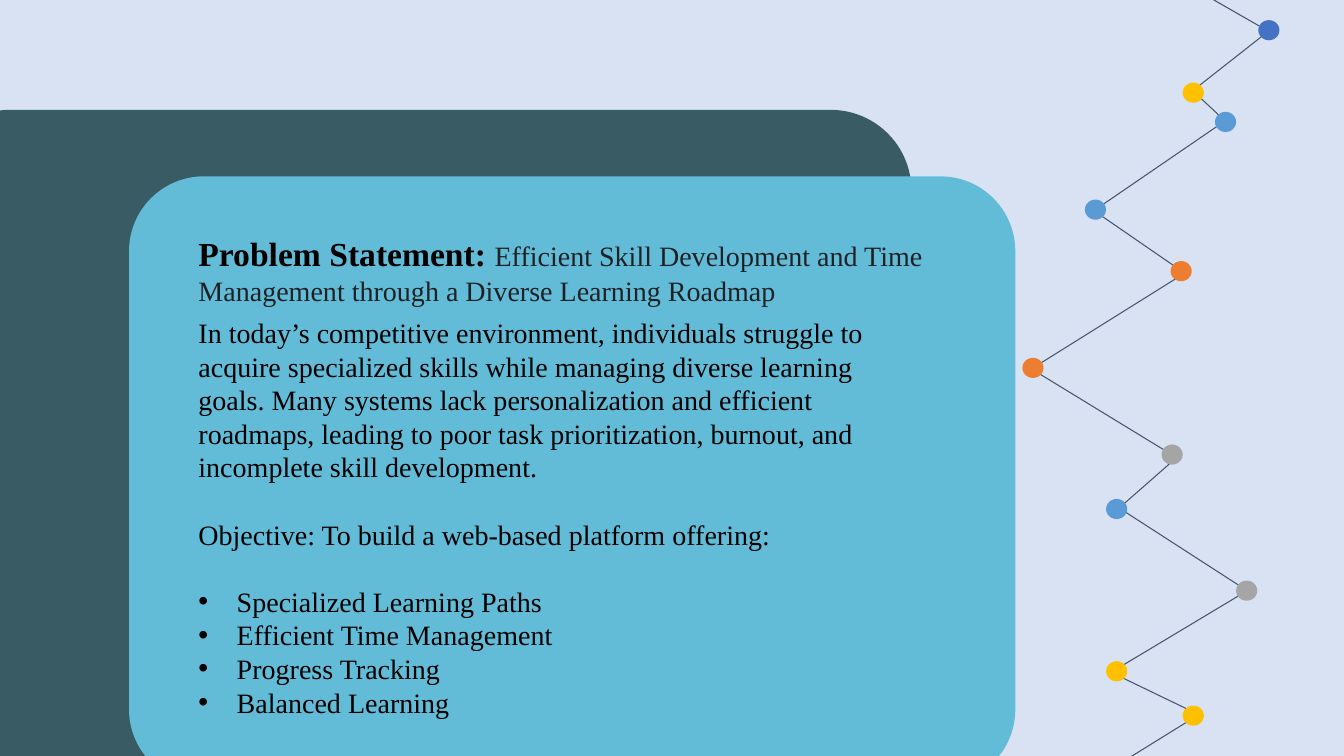
from typing import NamedTuple

import pptx
import pptx.dml.color
import pptx.enum.shapes
import pptx.enum.text
import pptx.oxml
import pptx.oxml.ns
import pptx.util

PX = 9144  # 100 px to the inch
FONT = "Times New Roman"
COLORS = {
    "background": "D8E2F3", "slate": "395B64", "sky": "62BCD8",
    "black": "000000", "ink": "202124", "line": "44546A",
    "navy": "4472C4", "gold": "FFC000", "blue": "5B9BD5",
    "orange": "ED7D31", "gray": "A5A5A5",
}


class Box(NamedTuple):
    left: int
    top: int
    width: int
    height: int

    def emu(self) -> list[int]:
        return [length * PX for length in self]


class Panel(NamedTuple):
    box: Box
    color: str


class Dot(NamedTuple):
    left: int
    top: int
    color: str


PANELS = [
    Panel(Box(-70, 109, 974, 650), "slate"),
    Panel(Box(128, 175, 879, 603), "sky"),
]
PATH = [
    (1143, -35), (1258, 31), (1183, 90), (1215, 120), (1085, 209),
    (1175, 271), (1023, 366), (1167, 454), (1110, 504), (1237, 586),
    (1102, 667), (1189, 709), (1097, 766),
]
DOTS = [
    Dot(1248, 20, "navy"), Dot(1173, 82, "gold"), Dot(1205, 111, "blue"),
    Dot(1076, 198, "blue"), Dot(1161, 259, "orange"), Dot(1014, 355, "orange"),
    Dot(1152, 441, "gray"), Dot(1097, 495, "blue"), Dot(1226, 576, "gray"),
    Dot(1097, 656, "gold"), Dot(1173, 700, "gold"),
]
PROBLEM = (
    "In today’s competitive environment, individuals struggle to acquire "
    "specialized skills while managing diverse learning goals. Many systems "
    "lack personalization and efficient roadmaps, leading to poor task "
    "prioritization, burnout, and incomplete skill development."
)
OBJECTIVE = "Objective: To build a web-based platform offering:"
OFFERINGS = [
    "Specialized Learning Paths", "Efficient Time Management",
    "Progress Tracking", "Balanced Learning",
]


def rgb(name: str) -> pptx.dml.color.RGBColor:
    return pptx.dml.color.RGBColor.from_string(COLORS[name])


def add_filled(slide, kind, box: Box, color: str):
    shape = slide.shapes.add_shape(kind, *box.emu())
    shape.shadow.inherit = False
    shape.fill.solid()
    shape.fill.fore_color.rgb = rgb(color)
    shape.line.fill.background()
    return shape


def add_zigzag(slide) -> None:
    builder = slide.shapes.build_freeform(*PATH[0], scale=PX)
    builder.add_line_segments(PATH[1:], close=False)
    zigzag = builder.convert_to_shape()
    zigzag.shadow.inherit = False
    zigzag.fill.background()
    zigzag.line.color.rgb = rgb("line")
    zigzag.line.width = pptx.util.Pt(0.75)


def add_text_frame(slide, box: Box):
    frame = slide.shapes.add_textbox(*box.emu()).text_frame
    frame.word_wrap = True
    frame.auto_size = pptx.enum.text.MSO_AUTO_SIZE.SHAPE_TO_FIT_TEXT
    return frame


def add_bullet(paragraph) -> None:
    properties = paragraph._p.get_or_add_pPr()
    properties.set("marL", str(38 * PX))
    properties.set("indent", str(-38 * PX))
    namespace = pptx.oxml.ns.nsdecls("a")
    for xml in (
        f'<a:buClr {namespace}><a:srgbClr val="{COLORS["black"]}"/></a:buClr>',
        f'<a:buFont {namespace} typeface="Arial"/>',
        f'<a:buChar {namespace} char="•"/>',
    ):
        properties.append(pptx.oxml.parse_xml(xml))


def add_heading(slide) -> None:
    heading = add_text_frame(slide, Box(187, 226, 796, 125)).paragraphs[0]
    heading.font.name = FONT
    for text, size, color, bold in (
        ("Problem Statement: ", 24, "black", True),
        ("Efficient Skill Development and Time Management through a "
         "Diverse Learning Roadmap", 20, "ink", False),
    ):
        run = heading.add_run()
        run.text = text
        run.font.size = pptx.util.Pt(size)
        run.font.bold = bold
        run.font.color.rgb = rgb(color)


def add_statement(slide) -> None:
    frame = add_text_frame(slide, Box(187, 308, 707, 414))
    for index, text in enumerate([PROBLEM, OBJECTIVE, *OFFERINGS]):
        paragraph = frame.add_paragraph() if index else frame.paragraphs[0]
        paragraph.text = text
        if text in (OBJECTIVE, OFFERINGS[0]):
            paragraph.space_before = pptx.util.Pt(24)
        if text in OFFERINGS:
            add_bullet(paragraph)
        paragraph.font.name = FONT
        paragraph.font.size = pptx.util.Pt(20)
        paragraph.font.color.rgb = rgb("black")


def main() -> None:
    deck = pptx.Presentation()
    deck.slide_width, deck.slide_height = 1333 * PX, 750 * PX
    slide = deck.slides.add_slide(deck.slide_layouts[6])
    slide.background.fill.solid()
    slide.background.fill.fore_color.rgb = rgb("background")

    shapes = pptx.enum.shapes.MSO_SHAPE
    for panel in PANELS:
        rounded = add_filled(slide, shapes.ROUNDED_RECTANGLE, panel.box, panel.color)
        rounded.adjustments[0] = 0.123
    add_heading(slide)
    add_statement(slide)
    add_zigzag(slide)
    for dot in DOTS:
        add_filled(slide, shapes.OVAL, Box(dot.left, dot.top, 21, 20), dot.color)
    deck.save("out.pptx")


if __name__ == "__main__":
    main()
